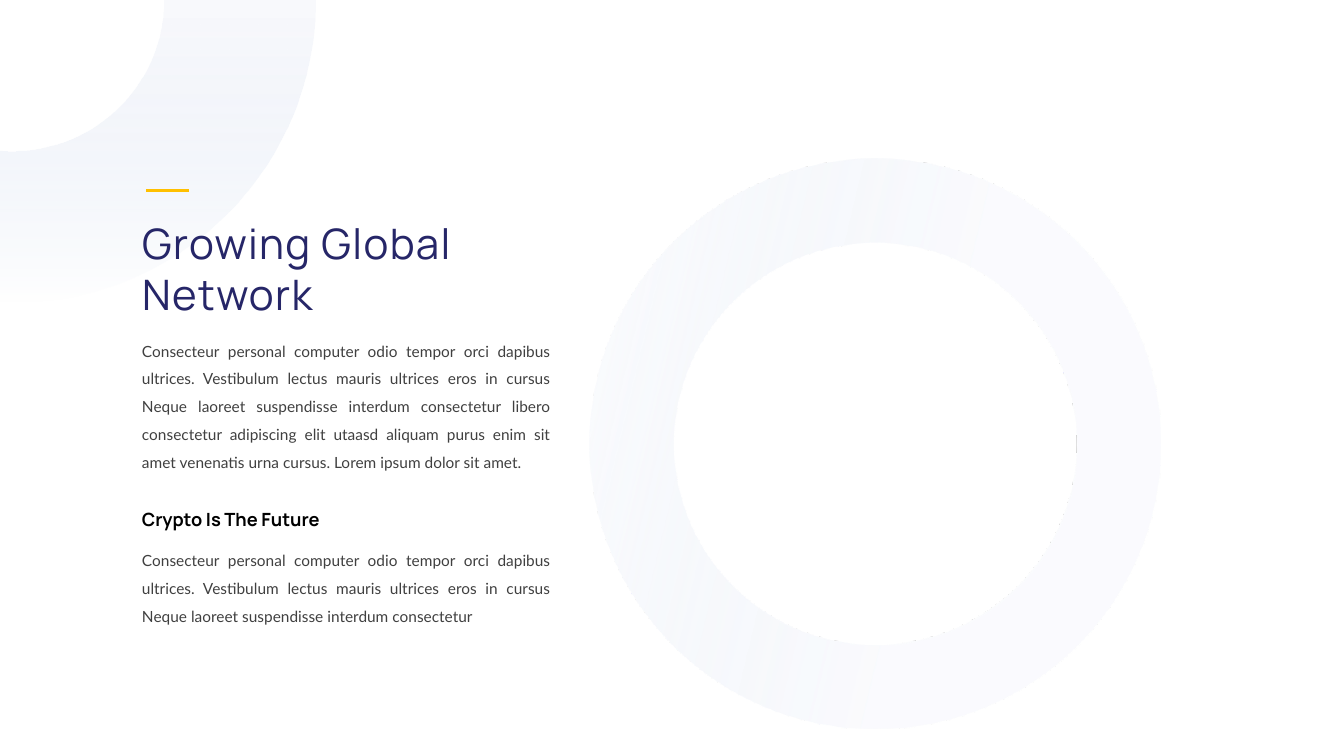
from math import acos, cos, sin

from lxml import etree
from pptx import Presentation
from pptx.dml.color import RGBColor
from pptx.enum.shapes import MSO_CONNECTOR as CONN, MSO_SHAPE as SHAPE
from pptx.enum.text import MSO_ANCHOR as ANCHOR, MSO_AUTO_SIZE as FIT, PP_ALIGN as ALIGN
from pptx.oxml import parse_xml
from pptx.oxml.ns import nsdecls, qn
from pptx.util import Inches, Pt

NAVY = RGBColor(0x26, 0x26, 0x68)
GREY = RGBColor(0x40, 0x40, 0x40)
BLACK = RGBColor(0, 0, 0)
GOLD = RGBColor(0xFF, 0xC0, 0x00)
MIST = RGBColor(0xF9, 0xFA, 0xFD)
HAZE = RGBColor(0xDA, 0xE3, 0xF3)

INTRO = ("Consecteur personal computer odio tempor orci dapibus ultrices. Vestibulum "
         "lectus mauris ultrices eros in cursus Neque laoreet suspendisse interdum consectetur")
REST = (" libero consectetur adipiscing elit utaasd aliquam purus enim sit amet venenatis "
        "urna cursus. Lorem ipsum dolor sit amet.")


def place(sp, left, top, width, height):
    sp.left, sp.top, sp.width, sp.height = map(Inches, (left, top, width, height))


def write(sp, text, size, color, font="Manrope", bold=False, align=ALIGN.LEFT,
          leading=None, tracking=None):
    tf = sp.text_frame
    tf.word_wrap, tf.auto_size, tf.vertical_anchor = True, FIT.NONE, ANCHOR.TOP
    p = tf.paragraphs[0]
    p.alignment, p.line_spacing = align, leading
    r = p.add_run()
    r.text = text
    r.font.name, r.font.size, r.font.bold = font, Pt(size), bold
    r.font.color.rgb = color
    if tracking:
        r.font._element.set("spc", str(tracking * 100))


def add_text(slide, box, text, **style):
    write(slide.shapes.add_textbox(*map(Inches, box)), text, **style)


def fade(sp, start, opacity):
    """Fill downwards from mist to a fully transparent haze."""
    sp.shadow.inherit = False
    sp.line.fill.background()
    sp.fill.background()
    stops = "".join(
        f'<a:gs pos="{pos * 1000}"><a:srgbClr val="{color}"><a:alpha val="{alpha * 1000}"/>'
        "</a:srgbClr></a:gs>"
        for pos, color, alpha in ((start, MIST, opacity), (100, HAZE, 0)))
    grad = parse_xml(f'<a:gradFill rotWithShape="1" {nsdecls("a")}><a:gsLst>{stops}</a:gsLst>'
                     '<a:lin ang="5400000" scaled="0"/></a:gradFill>')
    empty = sp._element.spPr.find(qn("a:noFill"))
    empty.getparent().replace(empty, grad)


def arc(center, radius, steps=90):
    """Points, in EMU, from the top edge of the slide round to its left edge."""
    end = acos(-center / radius)
    angles = [end * i / steps for i in range(steps + 1)]
    return [(Inches(center + radius * cos(a)), Inches(radius * sin(a))) for a in angles]


def draw_corner(slide, center, outer, inner):
    outline = arc(center, outer) + arc(center, inner)[::-1]
    fb = slide.shapes.build_freeform(*outline[0])
    fb.add_line_segments(outline[1:], close=True)
    fade(fb.convert_to_shape(), 0, 100)


def draw_ring(slide, left, top, size):
    ring = slide.shapes.add_shape(SHAPE.DONUT, *map(Inches, (left, top, size, size)))
    ring.adjustments[0] = 0.148
    ring.rotation = 103.3
    fade(ring, 41, 72)


def draw_story(slide, left, top, width):
    # Accent rule
    x, y = left + 0.14, top
    rule = slide.shapes.add_connector(CONN.STRAIGHT, *map(Inches, (x, y, x + 0.42, y)))
    rule.line.color.rgb = GOLD
    rule.line.width = Pt(2.25)
    etree.SubElement(rule._element.spPr, qn("a:effectLst"))
    # Title, brought in front of the rings
    title = slide.shapes.title
    place(title, left, top + 0.22, width, 1.11)
    write(title, "Growing Global Network", size=30, color=NAVY, tracking=1)
    title._element.getparent().append(title._element)
    # Body text and subheading
    body = dict(size=11, color=GREY, font="Lato", align=ALIGN.JUSTIFY, leading=1.5)
    add_text(slide, (left, top + 1.36, width, 1.46), INTRO + REST, **body)
    add_text(slide, (left, top + 3.1, width, 0.32), "Crypto Is The Future",
             size=13, color=BLACK, bold=True)
    add_text(slide, (left, top + 3.44, width, 0.9), INTRO, **body)


def main():
    prs = Presentation()
    prs.slide_width, prs.slide_height = Inches(13.33), Inches(7.5)
    slide = prs.slides.add_slide(prs.slide_layouts[5])
    draw_corner(slide, center=0.13, outer=3, inner=1.5)
    draw_ring(slide, left=5.85, top=1.57, size=5.66)
    draw_story(slide, left=1.31, top=1.89, width=4.25)
    prs.save("out.pptx")


if __name__ == "__main__":
    main()
